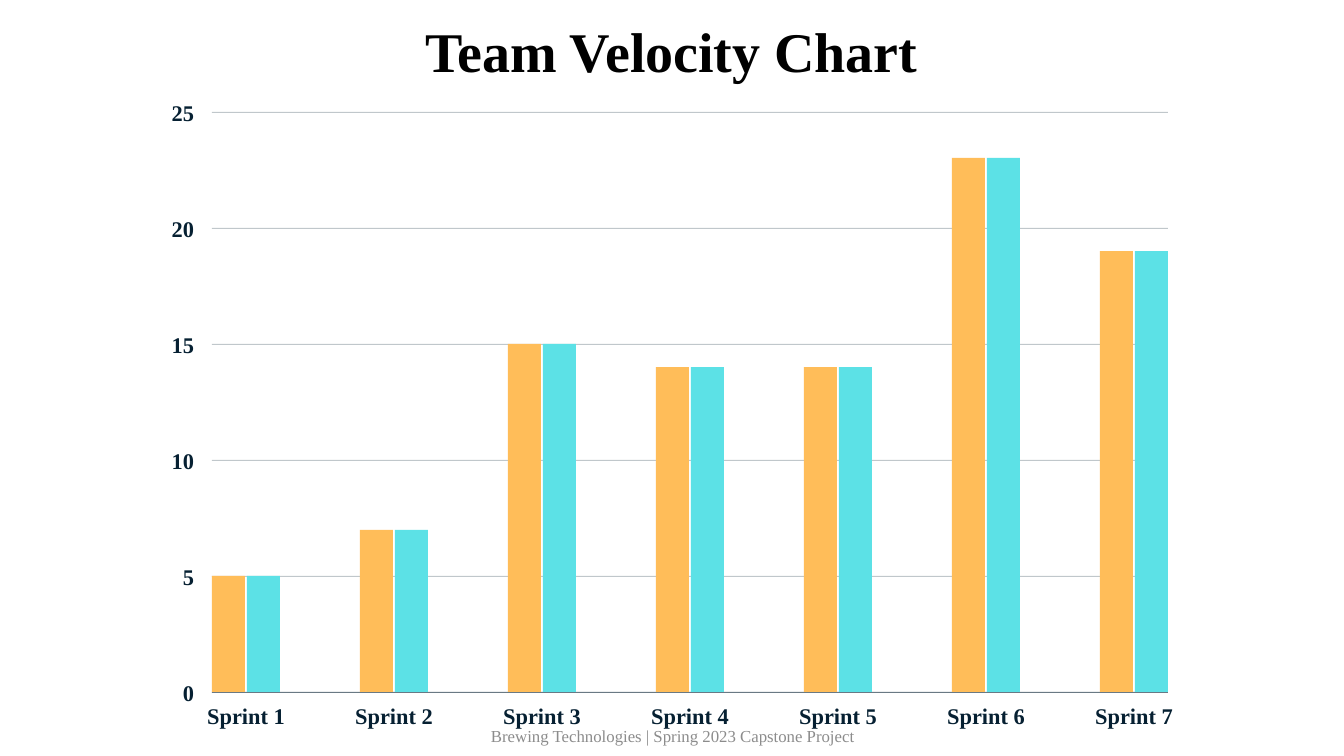
import lxml.etree
import pptx
import pptx.dml.color
import pptx.enum.shapes
import pptx.enum.text
import pptx.oxml.ns
import pptx.util

PX = 914400 / 100.8
COLORS = {
    "ink": "062032",
    "title": "000000",
    "footer": "8C8C8C",
    "first": "FFBD59",
    "second": "5CE1E6",
}
ALIGN = pptx.enum.text.PP_ALIGN
ANCHOR = pptx.enum.text.MSO_ANCHOR
NO_INSETS = {"margin_left": 0, "margin_top": 0, "margin_right": 0, "margin_bottom": 0}
AXIS_FRAME = {**NO_INSETS, "margin_right": round(6 * PX)}
MIDDLE = {"vertical_anchor": ANCHOR.MIDDLE}
LABEL_FONT = {"size": pptx.util.Pt(16), "bold": True}
LABEL_SPACING = pptx.util.Pt(25.2)

VELOCITIES = [5, 7, 15, 14, 14, 23, 19]
AXIS_MAX = 25
AXIS_STEP = 5
ROW_HEIGHT = 116
BASELINE = 692
PLOT_LEFT = 212
PLOT_WIDTH = 956
SPRINT_STEP = 148
BAR_WIDTH = 33
BAR_OFFSETS = {"first": 0, "second": 35}


def emu(*lengths):
    return [round(length * PX) for length in lengths]


def rgb(color):
    return pptx.dml.color.RGBColor.from_string(COLORS[color])


def apply_format(target, values):
    for attribute, value in values.items():
        setattr(target, attribute, value)


def height_of(points):
    return round(points * ROW_HEIGHT / AXIS_STEP)


def add_text(slide, box, text, color, font, frame_format, align=ALIGN.CENTER, spacing=None):
    frame = slide.shapes.add_textbox(*emu(*box)).text_frame
    apply_format(frame, {"word_wrap": True, **frame_format})
    paragraph = frame.paragraphs[0]
    apply_format(paragraph, {"alignment": align, "line_spacing": spacing})
    run = paragraph.add_run()
    run.text = text
    apply_format(run.font, {"name": "Times New Roman", **font})
    run.font.color.rgb = rgb(color)


def add_block(slide, box, color, opacity=100):
    block = slide.shapes.add_shape(pptx.enum.shapes.MSO_SHAPE.RECTANGLE, *emu(*box))
    block.shadow.inherit = False
    block.line.fill.background()
    block.fill.solid()
    block.fill.fore_color.rgb = rgb(color)
    if opacity < 100:
        qn = pptx.oxml.ns.qn
        fill_color = block.fill._xPr.find(qn("a:solidFill")).find(qn("a:srgbClr"))
        lxml.etree.SubElement(fill_color, qn("a:alpha"), val=str(opacity * 1000))


def add_sprint_labels(slide):
    for index in range(len(VELOCITIES)):
        box = (PLOT_LEFT - 8 + index * SPRINT_STEP, BASELINE + 2, 84, 32)
        add_text(slide, box, f"Sprint {index + 1}", "ink", LABEL_FONT, NO_INSETS,
                 spacing=LABEL_SPACING)


def add_value_axis(slide):
    for value in range(AXIS_MAX, -1, -AXIS_STEP):
        top = BASELINE - height_of(value)
        add_block(slide, (PLOT_LEFT, top, PLOT_WIDTH, 1), "ink", 25 if value else 60)
        width = 31 if value >= 10 else 19
        add_text(slide, (200 - width, top - 21, width, 32), str(value), "ink",
                 LABEL_FONT, AXIS_FRAME, ALIGN.RIGHT, LABEL_SPACING)


def add_bars(slide):
    for series, offset in BAR_OFFSETS.items():
        for index, points in enumerate(VELOCITIES):
            height = height_of(points)
            left = PLOT_LEFT + index * SPRINT_STEP + offset
            add_block(slide, (left, BASELINE - height, BAR_WIDTH, height), series)


def main():
    deck = pptx.Presentation()
    deck.slide_width, deck.slide_height = emu(1344, 756)
    slide = deck.slides.add_slide(deck.slide_layouts[6])
    add_text(slide, (446, 716, 454, 40), "Brewing Technologies | Spring 2023 Capstone Project",
             "footer", {"size": pptx.util.Pt(12)}, MIDDLE)
    add_text(slide, (206, 10, 931, 81), "Team Velocity Chart",
             "title", {"size": pptx.util.Pt(40), "bold": True}, MIDDLE)
    add_sprint_labels(slide)
    add_value_axis(slide)
    add_bars(slide)
    deck.save("out.pptx")


if __name__ == "__main__":
    main()
